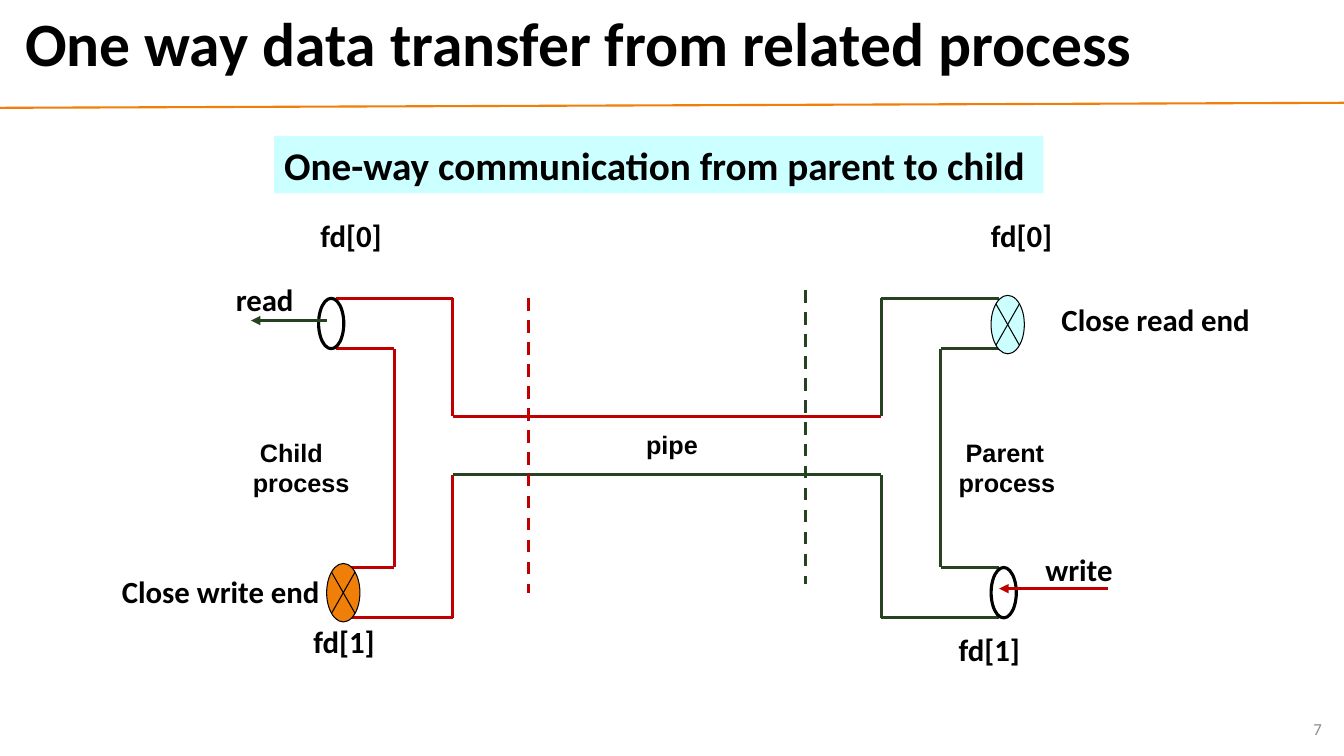
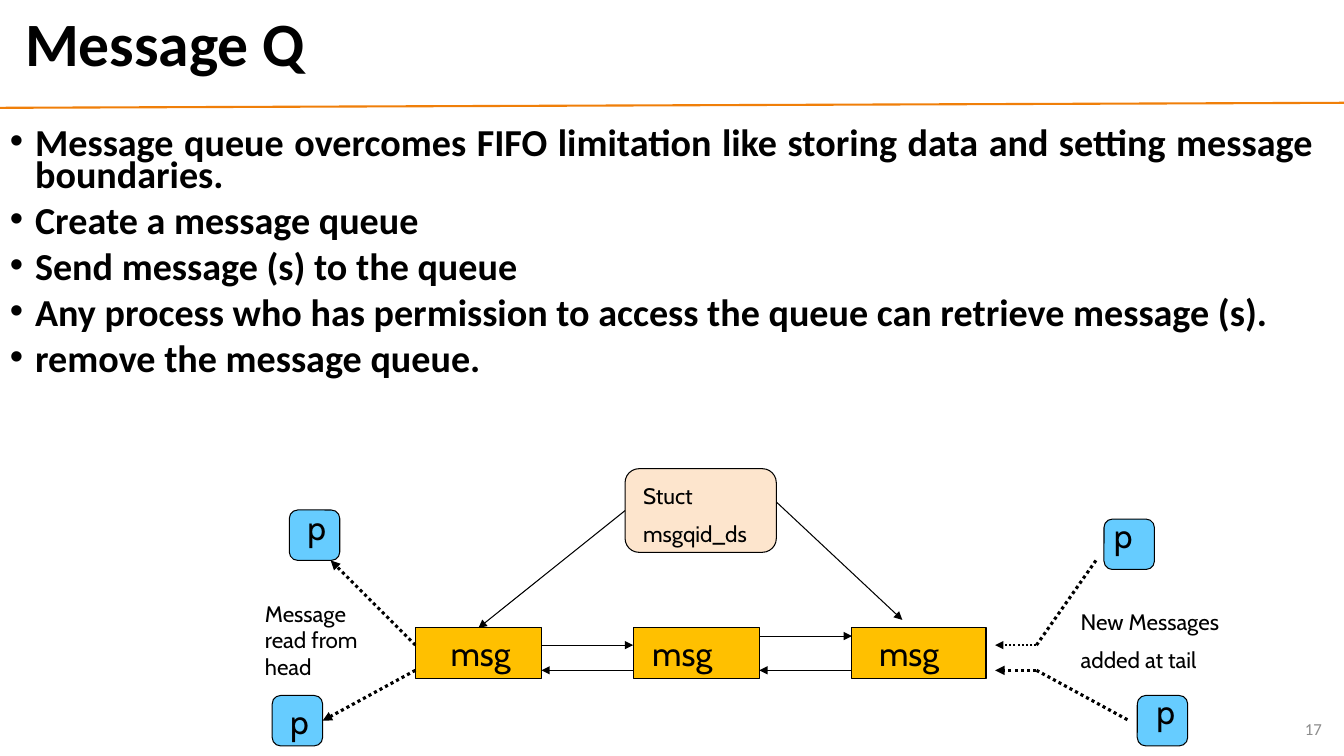
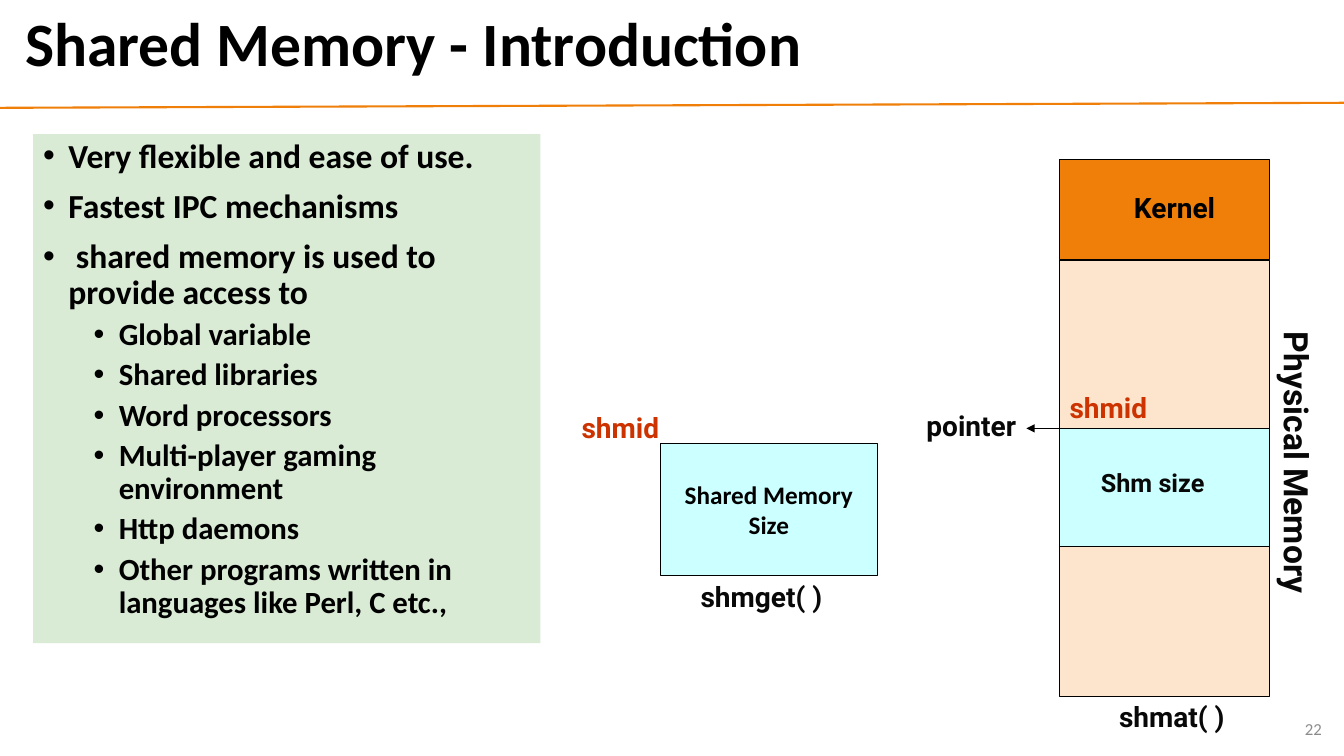
from itertools import pairwise
from lxml import etree
from pptx import Presentation
from pptx.dml.color import RGBColor
from pptx.enum.dml import MSO_LINE
from pptx.enum.shapes import MSO_CONNECTOR, MSO_SHAPE
from pptx.enum.text import MSO_ANCHOR, PP_ALIGN
from pptx.oxml.ns import qn
from pptx.util import Inches, Pt

RECT, OVAL = MSO_SHAPE.RECTANGLE, MSO_SHAPE.OVAL
JUNCTION = MSO_SHAPE.FLOWCHART_SUMMING_JUNCTION
ROUNDED = MSO_SHAPE.FLOWCHART_ALTERNATE_PROCESS
STRAIGHT = MSO_CONNECTOR.STRAIGHT
DASH, DOT = MSO_LINE.DASH, MSO_LINE.ROUND_DOT
LEFT, CENTER, RIGHT, JUSTIFY = PP_ALIGN.LEFT, PP_ALIGN.CENTER, PP_ALIGN.RIGHT, PP_ALIGN.JUSTIFY
TOP, MIDDLE = MSO_ANCHOR.TOP, MSO_ANCHOR.MIDDLE

WIDTH, HEIGHT = 13.33, 7.5
BLACK, INK, WHITE, GREY = "000000", "080808", "FFFFFF", "8C8C8C"
ORANGE, PEACH, AQUA, MINT = "F07F09", "FDE5CD", "CCFFFF", "D9EAD5"
RED, GREEN, AMBER, SKY, RUST = "C00000", "274221", "FFC000", "66CCFF", "CC3300"

# ---- Slide 1 content: pipe grid, paths and labels ----
CHILD_IN, CHILD_OUT, PARENT_OUT, PARENT_IN = 3.91, 4.49, 8.74, 9.33
READ_TOP, READ_BOTTOM, PIPE_TOP, PIPE_BOTTOM, WRITE_TOP, WRITE_BOTTOM = 2.96, 3.46, 4.13, 4.71, 5.63, 6.13
READ_X, WRITE_X, PARENT_X = 3.33, 3.41, 9.91
PIPE_PATHS = [
    (RED, [(READ_X, READ_TOP), (CHILD_OUT, READ_TOP), (CHILD_OUT, PIPE_TOP), (PARENT_OUT, PIPE_TOP)]),
    (RED, [(READ_X, READ_BOTTOM), (CHILD_IN, READ_BOTTOM), (CHILD_IN, WRITE_TOP), (WRITE_X, WRITE_TOP)]),
    (RED, [(WRITE_X, WRITE_BOTTOM), (CHILD_OUT, WRITE_BOTTOM), (CHILD_OUT, PIPE_BOTTOM)]),
    (GREEN, [(CHILD_OUT, PIPE_BOTTOM), (PARENT_OUT, PIPE_BOTTOM),
             (PARENT_OUT, WRITE_BOTTOM), (PARENT_X, WRITE_BOTTOM)]),
    (GREEN, [(PARENT_OUT, PIPE_TOP), (PARENT_OUT, READ_TOP), (PARENT_X, READ_TOP)]),
    (GREEN, [(PARENT_X, READ_BOTTOM), (PARENT_IN, READ_BOTTOM),
             (PARENT_IN, WRITE_TOP), (PARENT_X, WRITE_TOP)]),
]
BOUNDARIES = [(RED, 5.24, 2.96, 5.88), (GREEN, 7.99, 2.88, 5.79)]
OPEN_ENDS = [(3.16, READ_TOP), (9.83, WRITE_TOP)]
CLOSED_ENDS = [(9.83, 2.93, AQUA), (3.24, 5.59, ORANGE)]
FLOWS = [(RED, (10.99, 5.84), (9.91, 5.84)), (GREEN, (3.24, 3.18), (2.49, 3.18))]
PIPE_LABELS = [
    ("fd[0]", 3.08, 2.1, 1.31), ("fd[0]", 9.73, 2.1, 1.31),
    ("fd[1]", 3.01, 6.13, 1.31), ("fd[1]", 9.41, 6.21, 1.31),
    ("write", 10.27, 5.41, 1), ("read", 2.24, 2.74, 1),
    ("Close read end", 10.43, 2.93, 2.23), ("Close write end", 1.11, 5.63, 2.25),
]
PROCESSES = [("Child", 2.41), ("Parent", 9.41)]

# ---- Slide 2 content ----
QUEUE_POINTS = [
    "Message queue overcomes FIFO limitation like storing data and setting message boundaries.",
    "Create a message queue",
    "Send message (s) to the queue",
    "Any process who has permission to access the queue can retrieve message (s).",
    "remove the message queue.",
]
MESSAGE_TOP, MESSAGE_HEIGHT = 6.23, 0.5
MESSAGES = [(4.12, 1.25, 4.37), (6.28, 1.25, 6.37), (8.45, 1.33, 8.62)]  # left, width, label left
READERS = [(2.87, 5.06, 2.95, 4.98), (2.7, 6.9, 2.78, 6.9)]  # box, then its label
WRITERS = [(10.95, 5.15, 10.95, 5.06), (11.28, 6.9, 11.37, 6.81)]
LINKS = [((5.37, 6.4), (6.28, 6.4)), ((7.53, 6.31), (8.45, 6.31)),
         ((8.45, 6.65), (7.53, 6.65)), ((6.28, 6.65), (5.37, 6.65)),
         ((7.7, 4.98), (8.95, 6.15))]
DOTTED = [((10.28, 6.4), (10.87, 5.56), 2.25, False), ((10.28, 6.65), (11.2, 7.15), 2.25, False),
          ((10.28, 6.4), (9.87, 6.4), 1.5, True), ((10.28, 6.65), (9.87, 6.65), 2.25, True),
          ((4.12, 6.4), (3.28, 5.56), 2.25, True)]
QUEUE_LABELS = [
    (["Message read from head"], 2.53, 5.9, 1.33),
    (["New Messages", "added at tail"], 10.62, 5.98, 1.75),
    (["Stuct", "msgqid_ds"], 6.28, 4.73, 1.58),
]

# ---- Slide 3 content ----
MEMORY_POINTS = ["Very flexible and ease of use.", "Fastest IPC mechanisms",
                 " shared memory is used to provide access to"]
MEMORY_USES = ["Global variable", "Shared libraries", "Word processors",
               "Multi-player gaming environment", "Http daemons",
               "Other programs written in languages like Perl, C etc.,"]
MEMORY_LEFT, MEMORY_WIDTH = 10.51, 2.08
MEMORY_EDGES = [1.58, 2.58, 4.25, 5.42, 6.91]
MEMORY_FILLS = [ORANGE, PEACH, AQUA, PEACH]
MEMORY_LABELS = [
    ("Kernel", 11.05, 1.84, 1.2, 20, BLACK),
    ("Shm size", 10.82, 4.59, 1.38, 18, INK),
    ("shmid", 10.51, 3.82, 1.33, 20, RUST),
    ("pointer", 9.09, 4, 1.25, 20, INK),
    ("shmid", 5.67, 4.02, 1.33, 20, RUST),
    ("shmget( )", 6.85, 5.7, 1.96, 20, INK),
    ("shmat( )", 11, 6.89, 1.48, 20, INK),
]


# ---- Helpers ----
def color(value):
    return RGBColor.from_string(value)


def inches(*lengths):
    return [Inches(length) for length in lengths]


def add_paragraph(frame, text, size, font="Calibri", ink=BLACK, bold=True, align=LEFT,
                  spacing=None, before=0, margin=0, bullet=False):
    """Fill the empty first paragraph, or append one with space before it."""
    first = not frame.paragraphs[0].runs
    paragraph = frame.paragraphs[0] if first else frame.add_paragraph()
    paragraph.alignment = align
    if spacing:
        paragraph.line_spacing = spacing
    paragraph.space_before = Pt(0 if first else before)
    properties = paragraph._p.get_or_add_pPr()
    properties.set("marL", str(Inches(margin)))
    if bullet:
        properties.set("indent", str(Inches(-0.25)))
        etree.SubElement(properties, qn("a:buFont")).set("typeface", "Arial")
        etree.SubElement(properties, qn("a:buChar")).set("char", "•")
    run = paragraph.add_run()
    run.text = text
    run.font.size, run.font.name, run.font.bold = Pt(size), font, bold
    run.font.color.rgb = color(ink)


def add_frame(slide, left, top, width, height, anchor=TOP, fill=None):
    box = slide.shapes.add_textbox(*inches(left, top, width, height))
    if fill:
        box.fill.solid()
        box.fill.fore_color.rgb = color(fill)
    box.text_frame.word_wrap = True
    box.text_frame.vertical_anchor = anchor
    return box


def add_label(slide, text, left, top, width, size, height=0.5, anchor=TOP, fill=None, **style):
    box = add_frame(slide, left, top, width, height, anchor, fill)
    add_paragraph(box.text_frame, text, size, **style)
    return box


def add_box(slide, kind, left, top, width, height, fill, weight=0.75):
    shape = slide.shapes.add_shape(kind, *inches(left, top, width, height))
    shape.shadow.inherit = False
    shape.fill.solid()
    shape.fill.fore_color.rgb = color(fill)
    shape.line.color.rgb = color(BLACK)
    shape.line.width = Pt(weight)
    return shape


def add_line(slide, start, end, ink=BLACK, weight=0.75, dash=None, arrow=False):
    line = slide.shapes.add_connector(STRAIGHT, *inches(*start, *end))
    line.line.color.rgb = color(ink)
    line.line.width = Pt(weight)
    if dash:
        line.line.dash_style = dash
    if arrow:
        etree.SubElement(line.line._get_or_add_ln(), qn("a:tailEnd")).set("type", "triangle")
    etree.SubElement(line._element.spPr, qn("a:effectLst"))
    return line


def new_slide(presentation, title, number):
    """Blank slide with the shared rule, title and page number."""
    slide = presentation.slides.add_slide(presentation.slide_layouts[6])
    add_line(slide, (0, 1.07), (WIDTH, 1.02), ORANGE, 1.5)
    add_label(slide, title, 0.15, 0.05, 12.89, 44, 0.83, MIDDLE, spacing=0.9)
    add_label(slide, number, 10.21, 7.03, 3, 12, 0.4, MIDDLE, ink=GREY, bold=False, align=RIGHT)
    return slide


# ---- Slides ----
def build_pipe(presentation):
    slide = new_slide(presentation, "One way data transfer from related process", "7")
    for ink, points in PIPE_PATHS:
        for start, end in pairwise(points):
            add_line(slide, start, end, ink, 2.25)
    for ink, x, top, bottom in BOUNDARIES:
        add_line(slide, (x, top), (x, bottom), ink, 2.25, DASH)
    for left, top in OPEN_ENDS:
        add_box(slide, OVAL, left, top, 0.25, 0.5, WHITE, 2.25)
    for left, top, fill in CLOSED_ENDS:
        add_box(slide, JUNCTION, left, top, 0.33, 0.58, fill)
    for ink, start, end in FLOWS:
        add_line(slide, start, end, ink, 2.25, arrow=True)
    add_label(slide, "One-way communication from parent to child", 2.72, 1.35, 7.63, 28, 0.57, fill=AQUA)
    for text, left, top, width in PIPE_LABELS:
        add_label(slide, text, left, top, width, 22)
    for name, left in PROCESSES:
        box = add_label(slide, name, left, 4.29, 1.3, 18, 0.7, font="Arial", margin=0.07)
        add_paragraph(box.text_frame, "process", 18, font="Arial")
    add_label(slide, "pipe", 6.31, 4.21, 0.8, 18, font="Arial")


def build_queue(presentation):
    slide = new_slide(presentation, "Message Q", "17")
    body = add_frame(slide, 0, 1.25, 13.13, 2.62).text_frame
    for point in QUEUE_POINTS:
        add_paragraph(body, point, 27.2, align=JUSTIFY, spacing=0.7, before=10, margin=0.25, bullet=True)

    # Boxes
    messages = [add_box(slide, RECT, left, MESSAGE_TOP, width, MESSAGE_HEIGHT, AMBER)
                for left, width, _ in MESSAGES]
    processes = [add_box(slide, ROUNDED, left, top, 0.5, 0.5, SKY)
                 for left, top, _, _ in READERS + WRITERS]
    header = add_box(slide, ROUNDED, 6.2, 4.65, 1.5, 0.83, PEACH)

    # Arrows
    for start, end in LINKS:
        add_line(slide, start, end, arrow=True)
    for start, end, weight, arrow in DOTTED:
        add_line(slide, start, end, weight=weight, dash=DOT, arrow=arrow)
    to_reader = add_line(slide, (4.12, 6.65), (3.2, 7.15), weight=2.25, dash=DOT, arrow=True)
    to_reader.end_connect(processes[1], 3)
    to_head = add_line(slide, (6.2, 5.06), (4.75, 6.23), arrow=True)
    to_head.begin_connect(header, 1)
    to_head.end_connect(messages[0], 0)

    # Labels
    names = [("msg", left, MESSAGE_TOP, 1) for _, _, left in MESSAGES]
    names += [("p", left, top, 0.5) for _, _, left, top in READERS + WRITERS]
    for text, left, top, width in names:
        add_label(slide, text, left, top, width, 24, font="Cabin", bold=False)
    for lines, left, top, width in QUEUE_LABELS:
        frame = add_frame(slide, left, top, width, 0.77).text_frame
        for text in lines:
            add_paragraph(frame, text, 16, font="Cabin", bold=False, before=8)


def build_memory(presentation):
    slide = new_slide(presentation, "Shared Memory - Introduction", "22")
    body = add_frame(slide, 0.33, 1.33, 5.03, 5.05, fill=MINT).text_frame
    for point in MEMORY_POINTS:
        add_paragraph(body, point, 24, spacing=0.9, before=10, margin=0.25, bullet=True)
    for use in MEMORY_USES:
        add_paragraph(body, use, 22, spacing=0.9, before=5, margin=0.75, bullet=True)

    # Physical memory column and the shared segment
    for fill, (top, bottom) in zip(MEMORY_FILLS, pairwise(MEMORY_EDGES)):
        add_box(slide, RECT, MEMORY_LEFT, top, MEMORY_WIDTH, bottom - top, fill)
    segment = add_box(slide, RECT, 6.55, 4.4, 2.15, 1.31, AQUA).text_frame
    segment.word_wrap = True
    segment.vertical_anchor = MIDDLE
    add_paragraph(segment, "Shared Memory Size", 18, align=CENTER)
    add_line(slide, (MEMORY_LEFT, 4.25), (10.18, 4.25), arrow=True)

    # Labels
    for text, left, top, width, size, ink in MEMORY_LABELS:
        add_label(slide, text, left, top, width, size, 0.43, font="Roboto", ink=ink,
                  align=CENTER if text == "Kernel" else LEFT)
    side = add_label(slide, "Physical Memory", 11.02, 4.79, 3.69, 24, font="Roboto", ink=INK)
    side.rotation = 90


def main():
    presentation = Presentation()
    presentation.slide_width, presentation.slide_height = inches(WIDTH, HEIGHT)
    for build in (build_pipe, build_queue, build_memory):
        build(presentation)
    presentation.save("out.pptx")


if __name__ == "__main__":
    main()
